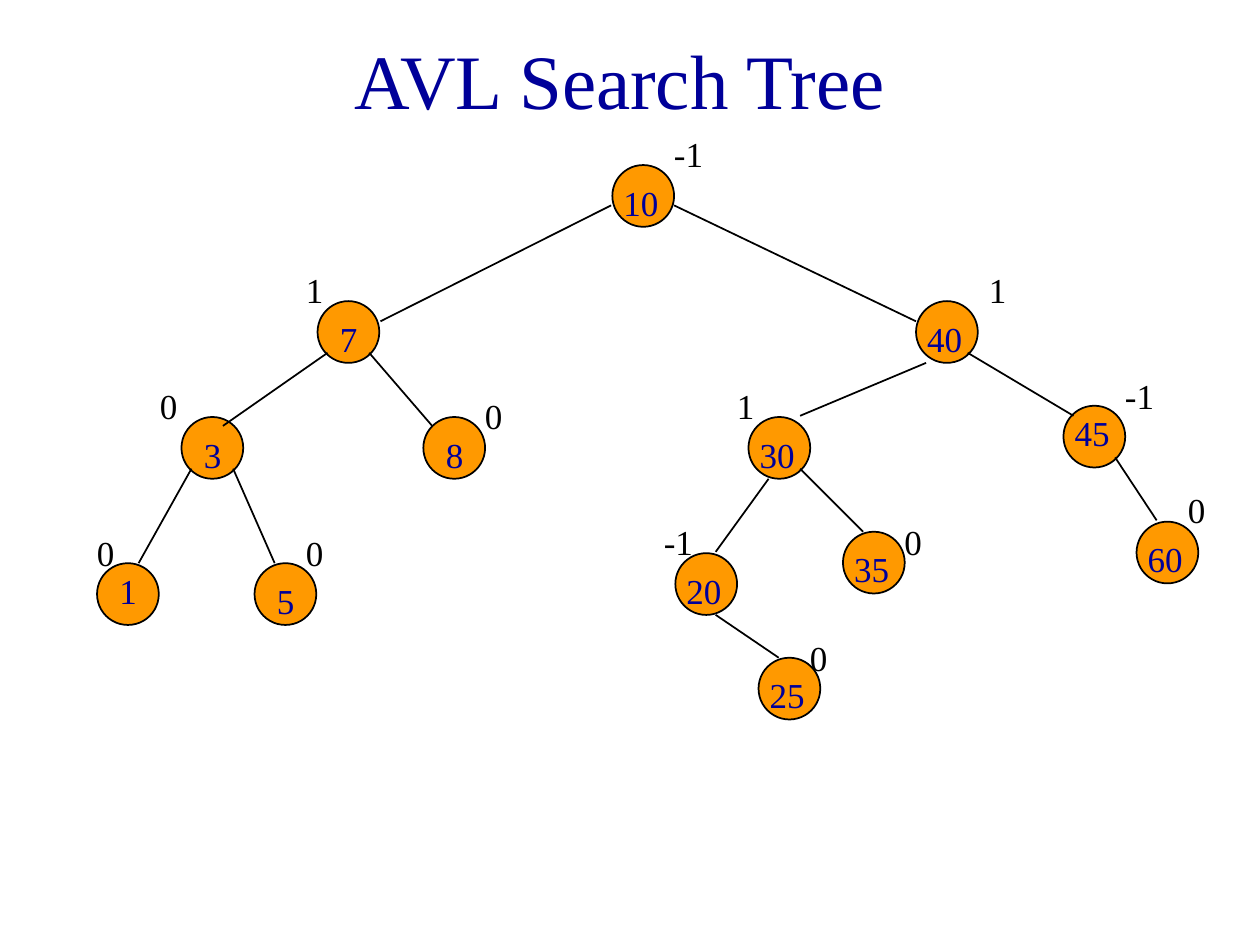
from dataclasses import dataclass
from typing import Any

from pptx import Presentation
from pptx.dml.color import RGBColor
from pptx.enum.shapes import MSO_CONNECTOR as Connector, MSO_SHAPE as Shape
from pptx.enum.text import MSO_ANCHOR as Anchor, MSO_AUTO_SIZE as AutoSize, PP_ALIGN as Align
from pptx.oxml.ns import qn
from pptx.util import Inches, Pt

BLACK = RGBColor(0x00, 0x00, 0x00)
NAVY = RGBColor(0x00, 0x00, 0x99)
ORANGE = RGBColor(0xFF, 0x99, 0x00)

NODE_SIZE = 0.49
LABEL_HEIGHT = 0.43
KEY_WIDTH = 0.5
KEY_DROP = 0.08

# key, node left and top, balance factor, balance left and top
NODES = [
    ("10", 4.86, 1.31, "-1", 5.25, 1.0),
    ("7", 2.52, 2.39, "1", 2.33, 2.08),
    ("40", 7.27, 2.39, "1", 7.75, 2.08),
    ("3", 1.44, 3.31, "0", 1.17, 3.0),
    ("8", 3.36, 3.31, "0", 3.75, 3.08),
    ("30", 5.94, 3.31, "1", 5.75, 3.0),
    ("45", 8.44, 3.22, "-1", 8.83, 2.92),
    ("1", 0.77, 4.47, "0", 0.67, 4.17),
    ("5", 2.02, 4.47, "0", 2.33, 4.17),
    ("20", 5.36, 4.39, "-1", 5.17, 4.08),
    ("35", 6.69, 4.22, "0", 7.08, 4.08),
    ("60", 9.02, 4.14, "0", 9.33, 3.83),
    ("25", 6.02, 5.22, "0", 6.33, 5.0),
]
HIGH_KEYS = {"1", "45"}  # keys level with the top of their node

# (parent, child): start x, y and end x, y
EDGES = {
    ("10", "7"): (4.85, 1.63, 3.02, 2.55),
    ("10", "40"): (5.35, 1.63, 7.27, 2.55),
    ("7", "3"): (2.6, 2.8, 1.77, 3.38),
    ("7", "8"): (2.93, 2.8, 3.43, 3.38),
    ("40", "30"): (7.35, 2.88, 6.35, 3.3),
    ("40", "45"): (7.68, 2.8, 8.52, 3.3),
    ("3", "1"): (1.52, 3.72, 1.1, 4.47),
    ("3", "5"): (1.85, 3.72, 2.18, 4.47),
    ("30", "20"): (6.1, 3.8, 5.68, 4.38),
    ("30", "35"): (6.35, 3.72, 6.85, 4.22),
    ("45", "60"): (8.85, 3.63, 9.18, 4.13),
    ("20", "25"): (5.68, 4.88, 6.18, 5.22),
}


def write(frame, text, *, size=20, color=BLACK, align=Align.LEFT,
          anchor=Anchor.TOP, wrap=True, auto_size=AutoSize.NONE):
    frame.word_wrap = wrap
    frame.auto_size = auto_size
    frame.vertical_anchor = anchor
    paragraph = frame.paragraphs[0]
    paragraph.alignment = align
    run = paragraph.add_run()
    run.text = text
    run.font.name = "Times New Roman"
    run.font.size = Pt(size)
    run.font.color.rgb = color


@dataclass
class TreeSlide:
    slide: Any
    node_fill: RGBColor = ORANGE
    line_color: RGBColor = BLACK
    key_color: RGBColor = NAVY
    line_width: float = 1

    def title(self, text):
        heading = self.slide.shapes.title
        heading.left, heading.top = Inches(0.67), Inches(0)
        heading.width, heading.height = Inches(8.5), Inches(1.25)
        write(heading.text_frame, text, size=44, color=self.key_color,
              align=Align.CENTER, anchor=Anchor.MIDDLE)

    def outline(self, line):
        line.color.rgb = self.line_color
        line.width = Pt(self.line_width)

    def node(self, left, top):
        circle = self.slide.shapes.add_shape(
            Shape.OVAL, Inches(left), Inches(top), Inches(NODE_SIZE), Inches(NODE_SIZE))
        circle.shadow.inherit = False
        circle.fill.solid()
        circle.fill.fore_color.rgb = self.node_fill
        self.outline(circle.line)

    def edge(self, *ends):
        branch = self.slide.shapes.add_connector(
            Connector.STRAIGHT, *(Inches(value) for value in ends))
        properties = branch._element.spPr
        self.outline(branch.line)
        properties.append(properties.makeelement(qn("a:effectLst"), {}))

    def label(self, text, left, top, width, **style):
        box = self.slide.shapes.add_textbox(
            Inches(left), Inches(top), Inches(width), Inches(LABEL_HEIGHT))
        write(box.text_frame, text, auto_size=AutoSize.SHAPE_TO_FIT_TEXT, **style)

    def key(self, text, node_left, node_top):
        shift = 0.08 if len(text) == 1 else -0.01
        drop = 0 if text in HIGH_KEYS else KEY_DROP
        self.label(text, node_left + shift, node_top + drop, KEY_WIDTH,
                   color=self.key_color)

    def balance(self, text, left, top):
        self.label(text, left, top, 0.34 if len(text) == 1 else 0.43, wrap=False)


def main():
    deck = Presentation()
    deck.slide_width, deck.slide_height = Inches(10), Inches(7.5)
    tree = TreeSlide(deck.slides.add_slide(deck.slide_layouts[5]))
    tree.title("AVL Search Tree")
    for _, left, top, *_ in NODES:
        tree.node(left, top)
    for ends in EDGES.values():
        tree.edge(*ends)
    for key, left, top, balance, balance_left, balance_top in NODES:
        tree.balance(balance, balance_left, balance_top)
        tree.key(key, left, top)
    deck.save("out.pptx")


if __name__ == "__main__":
    main()
